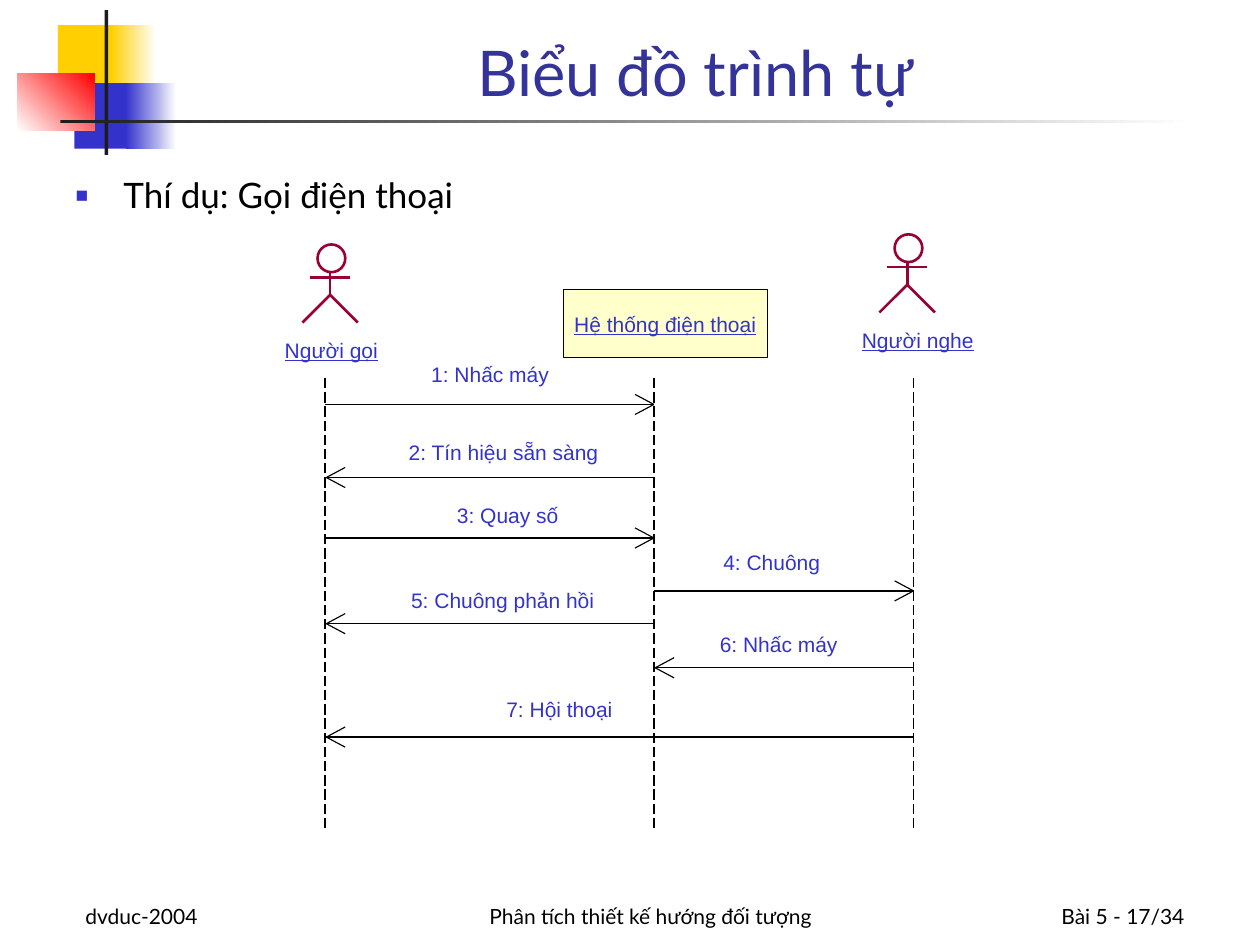
from lxml import etree
from pptx import Presentation
from pptx.dml.color import RGBColor
from pptx.enum.dml import MSO_LINE_DASH_STYLE as Dash
from pptx.enum.shapes import MSO_CONNECTOR as Connector, MSO_SHAPE as Shape
from pptx.enum.text import MSO_ANCHOR as Anchor, MSO_AUTO_SIZE as AutoSize, PP_ALIGN as Align
from pptx.oxml.ns import qn
from pptx.util import Inches, Pt

BLACK = RGBColor(0x00, 0x00, 0x00)
WHITE = RGBColor(0xFF, 0xFF, 0xFF)
CHARCOAL = RGBColor(0x1C, 0x1C, 0x1C)
YELLOW = RGBColor(0xFF, 0xCF, 0x01)
RED = RGBColor(0xFF, 0x00, 0x00)
BLUE = RGBColor(0x33, 0x33, 0xCC)
NAVY = RGBColor(0x33, 0x33, 0x99)
CREAM = RGBColor(0xFF, 0xFF, 0xCC)
MAROON = RGBColor(0x99, 0x00, 0x33)

deck = Presentation()
deck.slide_width, deck.slide_height = Inches(10), Inches(7.5)
page = deck.slides.add_slide(deck.slide_layouts[1])
shapes = page.shapes


def add_line(x1, y1, x2, y2, color=BLACK, width=0.75):
    line = shapes.add_connector(Connector.STRAIGHT, Inches(x1), Inches(y1), Inches(x2), Inches(y2))
    line.line.color.rgb = color
    line.line.width = Pt(width)
    etree.SubElement(line._element.spPr, qn("a:effectLst"))
    return line


def add_label(text, left, top, width, align=Align.CENTER, underline=False):
    box = shapes.add_textbox(Inches(left), Inches(top), Inches(width), Inches(0.2))
    frame = box.text_frame
    frame.margin_left = frame.margin_right = frame.margin_top = frame.margin_bottom = 0
    frame.word_wrap = False
    frame.auto_size = AutoSize.SHAPE_TO_FIT_TEXT
    para = frame.paragraphs[0]
    para.text = text
    para.alignment = align
    para.font.name, para.font.size = "Arial", Pt(12)
    para.font.color.rgb = BLUE
    para.font.underline = underline


# Corner decoration: position, start colour, end colour (None is solid), angle
decoration = [
    (0.46, 0.2, 0.48, 0.52, YELLOW, None, 0),
    (0.88, 0.2, 0.36, 0.52, YELLOW, WHITE, 0),
    (0.59, 0.66, 0.46, 0.52, BLUE, None, 0),
    (1, 0.66, 0.4, 0.52, BLUE, WHITE, 0),
    (0.14, 0.58, 0.61, 0.46, WHITE, RED, 45),
    (0.83, 0.08, 0.03, 1.15, CHARCOAL, None, 0),
    (0.48, 0.95, 9, 0.03, CHARCOAL, WHITE, 0),
]
for left, top, width, height, start, end, angle in decoration:
    block = shapes.add_shape(Shape.RECTANGLE, Inches(left), Inches(top), Inches(width), Inches(height))
    block.shadow.inherit = False
    block.line.fill.background()
    if end is None:
        block.fill.solid()
        block.fill.fore_color.rgb = start
    else:
        block.fill.gradient()
        block.fill.gradient_angle = angle
        for stop, color in zip(block.fill.gradient_stops, (start, end)):
            stop.color.rgb = color

# Footer
footers = [
    ("dvduc-2004", 0.58, 2.08, Align.LEFT),
    ("Phân tích thiết kế hướng đối tượng", 3.25, 3.83, Align.CENTER),
    ("Bài 5 - 17/34", 7.42, 2.08, Align.RIGHT),
]
for text, left, width, align in footers:
    box = shapes.add_textbox(Inches(left), Inches(6.92), Inches(width), Inches(0.5))
    box.text_frame.word_wrap = True
    box.text_frame.vertical_anchor = Anchor.BOTTOM
    para = box.text_frame.paragraphs[0]
    para.text = text
    para.alignment = align
    para.font.name, para.font.size = "Lato", Pt(12)
    para.font.color.rgb = BLACK

# Title and bullet, placed in front of the decoration
title, body = shapes.title, page.placeholders[1]
for holder, text, place, size, color in [
    (title, "Biểu đồ trình tự", (1.26, 0.08, 8.52, 0.84), 36, NAVY),
    (body, "Thí dụ: Gọi điện thoại", (0.5, 1.33, 9.29, 5.5), 20, BLACK),
]:
    holder.left, holder.top, holder.width, holder.height = [Inches(value) for value in place]
    holder.text_frame.text = text
    holder.text_frame.auto_size = AutoSize.NONE
    para = holder.text_frame.paragraphs[0]
    para.font.name, para.font.size = "Lato", Pt(size)
    para.font.color.rgb = color
    shapes._spTree.append(holder._element)
title.text_frame.vertical_anchor = Anchor.BOTTOM
title.text_frame.paragraphs[0].alignment = Align.CENTER
bullet = body.text_frame.paragraphs[0]
bullet.space_before = Pt(5)
props = bullet._p.get_or_add_pPr()
props.set("marL", str(Inches(0.38)))
props.set("indent", str(-Inches(0.38)))
bullet_color = etree.SubElement(props, qn("a:buClr"))
etree.SubElement(bullet_color, qn("a:srgbClr"), val=str(BLUE))
etree.SubElement(props, qn("a:buSzPct"), val="60000")
etree.SubElement(props, qn("a:buFont"), typeface="Arial")
etree.SubElement(props, qn("a:buChar"), char="■")

# Lifelines
CALLER, SYSTEM, LISTENER = 2.58, 5.19, 7.25
for x in (CALLER, SYSTEM, LISTENER):
    add_line(x, 3, x, 6.58).line.dash_style = Dash.LONG_DASH

# Phone system object
system = shapes.add_shape(Shape.RECTANGLE, Inches(4.47), Inches(2.3), Inches(1.62), Inches(0.54))
system.shadow.inherit = False
system.fill.solid()
system.fill.fore_color.rgb = CREAM
system.line.color.rgb = BLACK
system.line.width = Pt(0.75)
add_label("Hệ thống điện thoại", 4.54, 2.47, 1.48, underline=True)

# Messages: text, from, to, line height, label left, top and width
messages = [
    ("1: Nhấc máy", CALLER, SYSTEM, 3.21, 3.4, 2.87, 0.98),
    ("2: Tín hiệu sẵn sàng ", SYSTEM, CALLER, 3.79, 3.22, 3.49, 1.6),
    ("3: Quay số", CALLER, SYSTEM, 4.27, 3.6, 3.99, 0.86),
    ("4: Chuông", SYSTEM, LISTENER, 4.69, 5.72, 4.36, 0.81),
    ("5: Chuông phản hồi", SYSTEM, CALLER, 4.95, 3.24, 4.66, 1.5),
    ("6: Nhấc máy", LISTENER, SYSTEM, 5.3, 5.69, 5.01, 0.98),
    ("7: Hội thoại", LISTENER, CALLER, 5.85, 3.99, 5.53, 0.9),
]
for text, start, end, y, left, top, width in messages:
    back = -0.15 if end > start else 0.15
    tip = end if end > start else end + 0.01
    add_line(start, y, tip, y)
    for rise in (0.08, -0.08):
        add_line(tip, y, tip + back, y + rise, width=0.65)
    add_label(text, left, top, width)

# Actors: name, centre, top of head, label left, top and width
actors = [
    ("Người gọi", 2.62, 1.94, 2.26, 2.68, 0.78),
    ("Người nghe", 7.2, 1.86, 6.84, 2.6, 0.93),
]
for name, x, y, left, top, width in actors:
    head = shapes.add_shape(Shape.OVAL, Inches(x - 0.1), Inches(y), Inches(0.22), Inches(0.22))
    hip = y + 0.4
    add_line(x, y + 0.21, x, hip, MAROON, 1.5)
    add_line(x - 0.16, y + 0.26, x + 0.16, y + 0.26, MAROON, 1.5)
    pen = shapes.build_freeform(Inches(x - 0.22), Inches(hip + 0.22))
    pen.add_line_segments(
        [(Inches(x), Inches(hip)), (Inches(x + 0.22), Inches(hip + 0.22))], close=False)
    legs = pen.convert_to_shape()
    for part in (head, legs):
        part.shadow.inherit = False
        part.fill.background()
        part.line.color.rgb = MAROON
        part.line.width = Pt(1.5)
    add_label(name, left, top, width, Align.LEFT, underline=True)

deck.save("out.pptx")
